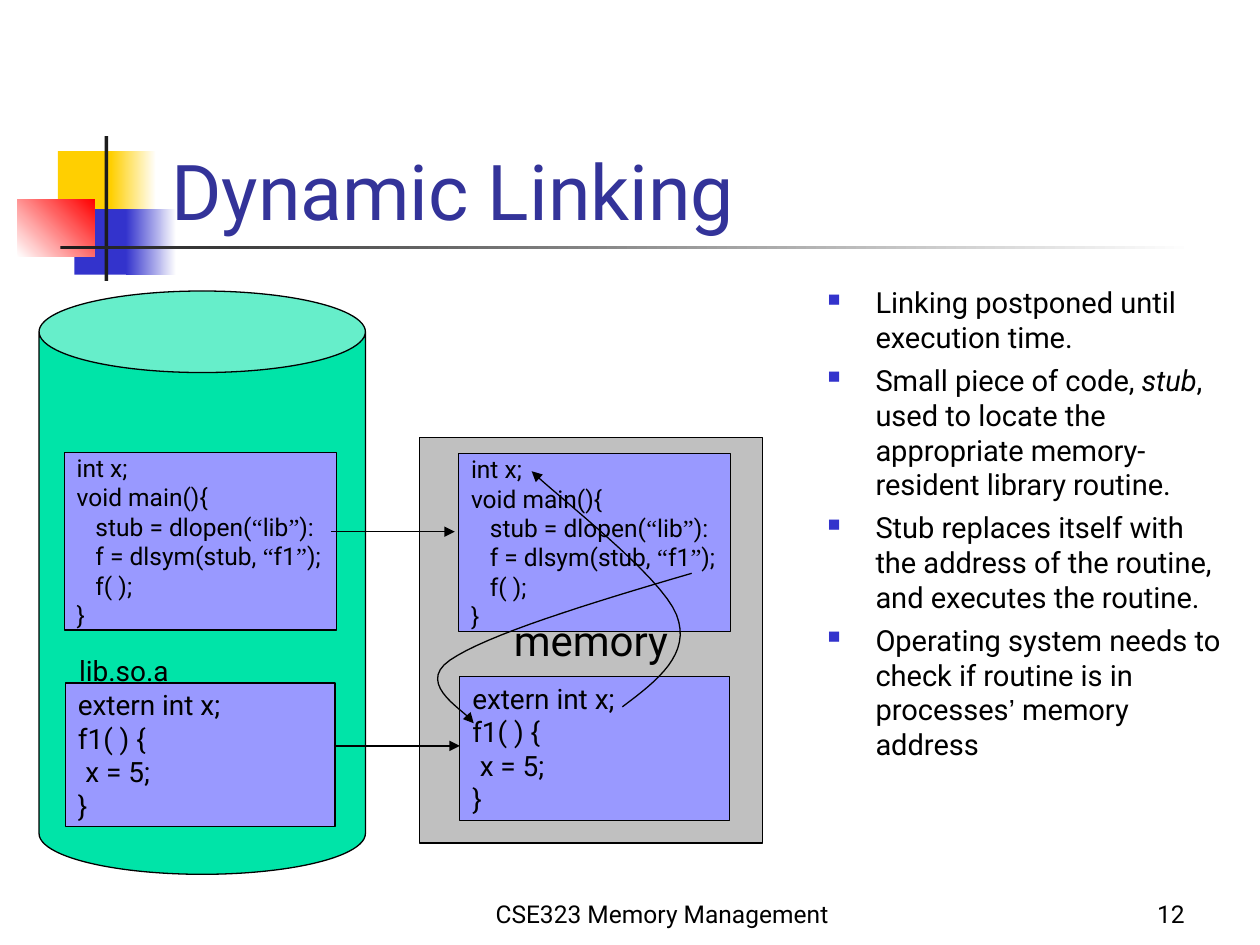
from itertools import groupby
from lxml.etree import SubElement
from pptx import Presentation
from pptx.dml.color import RGBColor
from pptx.enum.shapes import MSO_CONNECTOR, MSO_SHAPE
from pptx.enum.text import MSO_ANCHOR, PP_ALIGN
from pptx.oxml.ns import qn
from pptx.util import Inches, Pt

GLYPHS = {"“": "Times New Roman", "”": "Times New Roman", "’": "Arial"}
MAIN = [
    ("int x;", 0),
    ("void main(){", 0),
    ("stub = dlopen(“lib”):", 0.15),
    ("f = dlsym(stub, “f1”);", 0.15),
    ("f( );", 0.15),
    ("}", 0),
]
LIB = [("extern int x;", 0), ("f1( ) {", 0), ("x = 5;", 0.06), ("}", 0)]
POINTS = [
    "Linking postponed until execution time.",
    "Small piece of code, *stub*, used to locate the appropriate memory-resident library routine.",
    "Stub replaces itself with the address of the routine, and executes the routine.",
    "Operating system needs to check if routine is in processes’ memory address",
]


def paint(tone):
    return RGBColor.from_string(tone)


def bezier(a, b, c, d, t):
    s = 1 - t
    return tuple(
        s**3 * p + 3 * s * s * t * q + 3 * s * t * t * u + t**3 * v
        for p, q, u, v in zip(a, b, c, d)
    )


class Deck:
    font = "Roboto"
    ink = "000000"
    line = 0.75

    def __init__(self, slide):
        self.slide = slide
        self.shapes = slide.shapes

    def shape(self, box, fill, kind=MSO_SHAPE.RECTANGLE, edge=True):
        item = self.shapes.add_shape(kind, *map(Inches, box))
        item.shadow.inherit = False
        if isinstance(fill, str):
            item.fill.solid()
            item.fill.fore_color.rgb = paint(fill)
        else:
            first, last, angle = fill
            item.fill.gradient()
            item.fill.gradient_angle = angle
            for stop, tone, spot in zip(item.fill.gradient_stops, (first, last), (0, 1)):
                stop.color.rgb = paint(tone)
                stop.position = spot
        if edge:
            self.stroke(item)
        else:
            item.line.fill.background()
        return item

    def stroke(self, item):
        item.line.color.rgb = paint(self.ink)
        item.line.width = Pt(self.line)

    def tip(self, item):
        self.stroke(item)
        SubElement(item.element.spPr.find(qn("a:ln")), qn("a:tailEnd"), type="triangle")

    def label(self, item, rows, size, tone=ink, align=PP_ALIGN.LEFT,
              anchor=MSO_ANCHOR.MIDDLE, wrap=False, bullet=False):
        frame = item.text_frame
        frame.word_wrap = wrap
        frame.vertical_anchor = anchor
        for n, (text, indent) in enumerate(rows):
            para = frame.add_paragraph() if n else frame.paragraphs[0]
            para.alignment = align
            props = para._p.get_or_add_pPr()
            if indent:
                props.set("marL", str(Inches(indent)))
            if bullet:
                para.space_before = Pt(4.5)
                self.bullet(props, indent)
            para.font.name = self.font
            para.font.size = Pt(size)
            para.font.color.rgb = paint(tone)
            self.runs(para, text)

    def bullet(self, props, indent):
        props.set("indent", str(-Inches(indent)))
        SubElement(SubElement(props, qn("a:buClr")), qn("a:srgbClr"), val="3333CC")
        SubElement(props, qn("a:buSzPct"), val="60000")
        SubElement(props, qn("a:buChar"), char="■")

    def runs(self, para, text):
        for n, part in enumerate(text.split("*")):
            for font, chars in groupby(part, GLYPHS.get):
                run = para.add_run()
                run.text = "".join(chars)
                if font:
                    run.font.name = font
                if n % 2:
                    run.font.italic = True

    def text(self, box, rows, size, **style):
        self.label(self.shapes.add_textbox(*map(Inches, box)), rows, size, **style)

    def code(self, box, rows, size):
        self.label(self.shape(box, "9999FF"), rows, size)

    def arrow(self, left, right, y):
        ends = map(Inches, (left, y, right, y))
        item = self.shapes.add_connector(MSO_CONNECTOR.STRAIGHT, *ends)
        self.tip(item)
        SubElement(item.element.spPr, qn("a:effectLst"))

    def curve(self, start, *parts, steps=16):
        dots = []
        for b, c, end in parts:
            dots += [bezier(start, b, c, end, n / steps) for n in range(steps + 1)]
            start = end
        dots = [(Inches(x), Inches(y)) for x, y in dots]
        maker = self.shapes.build_freeform(*dots[0])
        maker.add_line_segments(dots[1:], close=False)
        item = maker.convert_to_shape()
        item.shadow.inherit = False
        item.fill.background()
        self.tip(item)


def main():
    show = Presentation()
    show.slide_width, show.slide_height = Inches(10), Inches(7.5)
    deck = Deck(show.slides.add_slide(show.slide_layouts[6]))

    for box, fill in [
        ((0.46, 1.2, 0.48, 0.52), "FFCF01"),
        ((0.88, 1.2, 0.36, 0.52), ("FFCF01", "FFFFFF", 0)),
        ((0.59, 1.66, 0.46, 0.52), "3333CC"),
        ((1, 1.66, 0.4, 0.52), ("3333CC", "FFFFFF", 0)),
        ((0.14, 1.58, 0.61, 0.46), ("FFFFFF", "FF0000", 45)),
        ((0.83, 1.08, 0.03, 1.15), "1C1C1C"),
        ((0.48, 1.95, 9, 0.03), ("1C1C1C", "FFFFFF", 0)),
    ]:
        deck.shape(box, fill, edge=False)

    low = MSO_ANCHOR.BOTTOM
    deck.text((3.67, 6.92, 3.17, 0.5), [("CSE323 Memory Management", 0)], 14,
              align=PP_ALIGN.CENTER, anchor=low, wrap=True)
    deck.text((7.42, 6.92, 2.08, 0.5), [("12", 0)], 14,
              align=PP_ALIGN.RIGHT, anchor=low, wrap=True)
    deck.text((1.26, 0.67, 8.52, 1.25), [("Dynamic Linking", 0)], 44,
              tone="333399", anchor=low, wrap=True)
    deck.text((6.47, 2.21, 3.32, 4.5), [(point, 0.38) for point in POINTS], 16.6,
              anchor=MSO_ANCHOR.TOP, wrap=True, bullet=True)

    disk = deck.shape((0.31, 2.31, 2.59, 4.63), "00E4A8", MSO_SHAPE.CAN)
    disk.adjustments[0] = 0.25
    deck.code((0.51, 3.59, 2.16, 1.41), MAIN, 14)
    deck.code((0.52, 5.42, 2.14, 1.14), LIB, 16)
    deck.text((0.53, 5.14, 0.93, 0.37), [("lib.so.a", 0)], 16, anchor=MSO_ANCHOR.TOP)

    store = deck.shape((3.33, 3.47, 2.72, 3.22), "C0C0C0")
    deck.label(store, [("memory", 0)], 24, align=PP_ALIGN.CENTER)
    deck.code((3.64, 3.6, 2.16, 1.41), MAIN, 14)
    deck.arrow(2.63, 3.61, 4.22)
    deck.code((3.65, 5.37, 2.14, 1.14), LIB, 16)
    deck.arrow(2.65, 3.65, 5.92)

    deck.curve((4.94, 5.61),
               ((5.22, 5.4), (5.49, 5.19), (5.37, 4.88)),
               ((5.25, 4.57), (4.41, 3.93), (4.22, 3.74)))
    deck.curve((5.49, 4.55),
               ((4.67, 4.79), (3.86, 5.04), (3.57, 5.24)),
               ((3.28, 5.44), (3.73, 5.66), (3.76, 5.74)))
    show.save("out.pptx")


if __name__ == "__main__":
    main()
